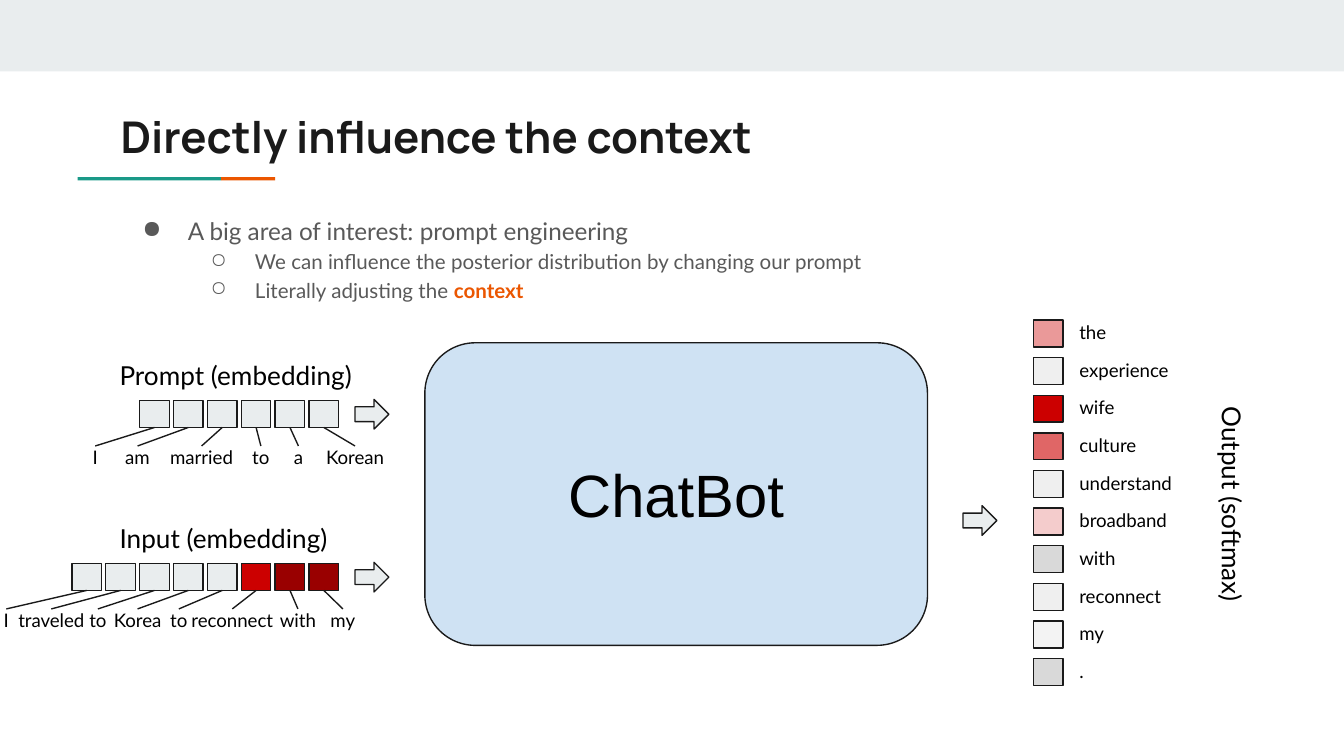
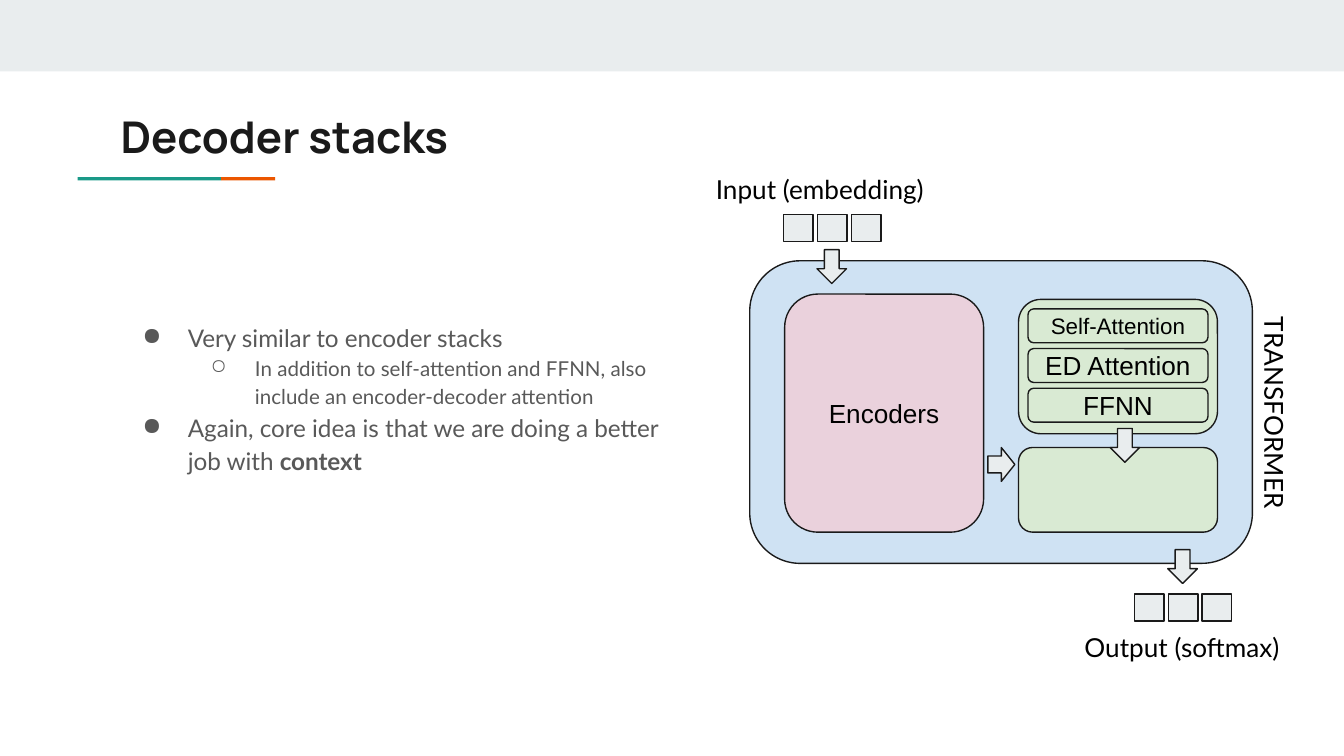
from lxml.etree import SubElement
from pptx import Presentation
from pptx.dml.color import RGBColor
from pptx.enum.shapes import MSO_CONNECTOR, MSO_SHAPE
from pptx.enum.text import MSO_ANCHOR, PP_ALIGN
from pptx.oxml.ns import qn
from pptx.util import Cm, Pt

COLORS = {
    "band": "E9EDEE", "teal": "1A9988", "orange": "EB5600",
    "ink": "1A1A1A", "body": "595959", "black": "000000",
    "model": "CFE2F3", "encoder": "EAD1DC", "decoder": "D9EAD3",
    "plain": "EFEFEF", "pale": "F3F3F3", "gray": "D9D9D9",
    "blush": "F4CCCC", "rose": "EA9999", "coral": "E06666",
    "red": "CC0000", "dark_red": "990000",
}
BODY_FONT, TITLE_FONT, MODEL_FONT = "Lato", "Manrope", "Arial"
INSET = 0.25
CELL_W, CELL_H, CELL_STEP = 0.56, 0.51, 0.64
ARROW_LONG, ARROW_WIDE = 0.64, 0.56
LABEL_H, WORD_H = 1.12, 0.43

# Bullet levels: left margin, hanging indent, sign, text size
LEVELS = [(1.27, -0.86, "●", 13), (2.54, -0.84, "○", 11)]


def rgb(color):
    return RGBColor.from_string(COLORS[color])


def style(font, name, size, color, bold=None):
    font.name, font.size, font.bold = name, Pt(size), bold
    font.color.rgb = rgb(color)


def set_insets(frame, inset):
    frame.margin_left = frame.margin_right = Cm(inset)
    frame.margin_top = frame.margin_bottom = Cm(inset)
    frame.word_wrap = True


def add_block(slide, kind, box, fill, outlined=True, text="", size=14):
    block = slide.shapes.add_shape(kind, *map(Cm, box))
    block.shadow.inherit = False
    block.fill.solid()
    block.fill.fore_color.rgb = rgb(fill)
    if outlined:
        block.line.color.rgb = rgb("ink")
        block.line.width = Pt(0.75)
    else:
        block.line.fill.background()
    if text:
        set_insets(block.text_frame, INSET)
        block.text_frame.vertical_anchor = MSO_ANCHOR.MIDDLE
        paragraph = block.text_frame.paragraphs[0]
        paragraph.text, paragraph.alignment = text, PP_ALIGN.CENTER
        style(paragraph.font, MODEL_FONT, size, "black")
    return block


def add_rounded(slide, box, fill, text="", size=14):
    return add_block(slide, MSO_SHAPE.ROUNDED_RECTANGLE, box, fill, text=text, size=size)


def add_label(slide, box, text, size=14, inset=INSET, align=PP_ALIGN.LEFT, rotation=0):
    label = slide.shapes.add_textbox(*map(Cm, box))
    label.rotation = rotation
    set_insets(label.text_frame, inset)
    paragraph = label.text_frame.paragraphs[0]
    paragraph.text, paragraph.alignment = text, align
    style(paragraph.font, BODY_FONT, size, "black")
    return label


def add_cell(slide, left, top, fill="band"):
    add_block(slide, MSO_SHAPE.RECTANGLE, (left, top, CELL_W, CELL_H), fill)


def add_right_arrow(slide, left, top, width=ARROW_LONG, height=ARROW_WIDE):
    add_block(slide, MSO_SHAPE.RIGHT_ARROW, (left, top, width, height), "band")


def add_down_arrow(slide, left, top):
    add_block(slide, MSO_SHAPE.DOWN_ARROW, (left, top, ARROW_WIDE, ARROW_LONG), "band")


def add_leader(slide, start, end):
    leader = slide.shapes.add_connector(MSO_CONNECTOR.STRAIGHT, *map(Cm, start + end))
    leader.line.color.rgb = rgb("ink")
    leader.line.width = Pt(0.75)
    SubElement(leader._element.spPr, qn("a:effectLst"))


def add_frame(prs, title):
    """Slide with the top band, the two-colour rule and the title."""
    slide = prs.slides.add_slide(prs.slide_layouts[6])
    for box, color in [((0, 0, 25.4, 1.35), "band"),
                       ((1.47, 3.35, 2.71, 0.06), "teal"),
                       ((4.18, 3.35, 1.02, 0.06), "orange")]:
        add_block(slide, MSO_SHAPE.RECTANGLE, box, color, outlined=False)
    heading = add_label(slide, (2.03, 1.83, 21.36, 1.5), title)
    style(heading.text_frame.paragraphs[0].font, TITLE_FONT, 23.4, "ink", True)
    return slide


def add_bullets(slide, box, items):
    """Items are (level, text, emphasized ending, its colour)."""
    frame = slide.shapes.add_textbox(*map(Cm, box)).text_frame
    set_insets(frame, INSET)
    for index, (level, text, emphasis, color) in enumerate(items):
        paragraph = frame.add_paragraph() if index else frame.paragraphs[0]
        margin, indent, sign, size = LEVELS[level]
        paragraph.level, paragraph.line_spacing = level, 1.15
        properties = paragraph._p.get_or_add_pPr()
        properties.set("marL", str(Cm(margin)))
        properties.set("indent", str(Cm(indent)))
        bullet_color = SubElement(properties, qn("a:buClr"))
        SubElement(bullet_color, qn("a:srgbClr"), val=COLORS["body"])
        SubElement(properties, qn("a:buChar"), char=sign)
        style(paragraph.font, BODY_FONT, size, "body")
        paragraph.add_run().text = text
        if emphasis:
            ending = paragraph.add_run()
            ending.text, ending.font.bold = emphasis, True
            ending.font.color.rgb = rgb(color)


def add_embedding(slide, box, title, words):
    """Cells flush right in the box; words are (word, centre, width, cell colour)."""
    left, top, width = box
    cells_top, words_top = top + 1.02, top + 1.88
    add_label(slide, (left + 2.01, top, 5.49, LABEL_H), title)
    for index, (word, center, word_width, fill) in enumerate(words):
        cell_left = left + width - CELL_W - (len(words) - 1 - index) * CELL_STEP
        add_cell(slide, cell_left, cells_top, fill)
        add_label(slide, (left + center - word_width / 2, words_top, word_width, WORD_H),
                  word, 10, 0, PP_ALIGN.CENTER)
        add_leader(slide, (left + center, words_top),
                   (cell_left + CELL_W / 2, cells_top + CELL_H))
    add_right_arrow(slide, left + width + 0.31, cells_top - 0.02)


def add_output_list(slide, box, title, words):
    left, top, height = box
    step = (height - CELL_H) / (len(words) - 1)
    for index, (word, fill) in enumerate(words):
        add_cell(slide, left, top + index * step, fill)
        add_label(slide, (left + 0.87, top + index * step + 0.02, 2.06, WORD_H), word, 10, 0)
    add_label(slide, (left + 1.32, top + 3.25, 4.85, LABEL_H), title, rotation=90)


def add_transformer(slide, box):
    left, top, width, height = box
    add_rounded(slide, box, "model")

    # Encoders and the stack of decoders
    add_rounded(slide, (left + 0.66, top + 0.63, 3.76, 4.5), "encoder", "Encoders")
    decoder_left = left + 5.08
    add_rounded(slide, (decoder_left, top + 0.73, 3.76, 2.54), "decoder")
    add_rounded(slide, (decoder_left, top + 3.53, 3.76, 1.6), "decoder")
    layers = [("Self-Attention", 12), ("ED Attention", 14), ("FFNN", 14)]
    for index, (layer, size) in enumerate(layers):
        add_rounded(slide, (decoder_left + 0.18, top + 0.91 + index * 0.75, 3.4, 0.64),
                    "decoder", layer, size)

    # Flow from input to output
    add_down_arrow(slide, left + 1.27, top - 0.21)
    add_right_arrow(slide, left + 4.5, top + 3.53, 0.51, 0.64)
    add_down_arrow(slide, left + 6.81, top + 3.17)
    add_down_arrow(slide, left + 7.9, top + height - 0.26)
    for row_left, row_top in [(left + 0.64, top - 0.87), (left + 7.27, top + height + 0.58)]:
        for index in range(3):
            add_cell(slide, row_left + index * CELL_STEP, row_top)

    # Labels around the model
    add_label(slide, (left - 0.89, top - 1.91, 4.7, LABEL_H), "Input (embedding)")
    add_label(slide, (left + 5.82, top + height + 1.03, 4.7, LABEL_H), "Output (softmax)",
              align=PP_ALIGN.CENTER)
    add_label(slide, (left + width - 2.13, top + 2.79, 5.08, LABEL_H), "TRANSFORMER",
              rotation=90)


def build_context_slide(prs):
    slide = add_frame(prs, "Directly influence the context")
    add_bullets(slide, (2.03, 3.76, 21.36, 6.27), [
        (0, "A big area of interest: prompt engineering", "", None),
        (1, "We can influence the posterior distribution by changing our prompt", "", None),
        (1, "Literally adjusting the ", "context", "orange"),
    ])
    add_rounded(slide, (8.03, 6.48, 9.5, 5.72), "model", "ChatBot", 32)
    add_embedding(slide, (0, 6.55, 6.4), "Prompt (embedding)", [
        ("I", 1.8, 0.56, "band"), ("am", 2.6, 1.47, "band"),
        ("married", 3.81, 1.57, "band"), ("to", 4.93, 1.12, "band"),
        ("a", 5.64, 1.12, "band"), ("Korean", 6.71, 1.57, "band"),
    ])
    add_embedding(slide, (0, 9.63, 6.4), "Input (embedding)", [
        ("I", 0.12, 0.56, "band"), ("traveled", 0.97, 1.47, "band"),
        ("to", 1.85, 1.12, "band"), ("Korea", 2.6, 1.12, "band"),
        ("to", 3.38, 1.12, "band"), ("reconnect", 4.39, 1.9, "red"),
        ("with", 5.63, 1.19, "dark_red"), ("my", 6.48, 1.19, "dark_red"),
    ])
    add_right_arrow(slide, 18.2, 9.56)
    add_output_list(slide, (19.53, 6.05, 6.91), "Output (softmax)", [
        ("the", "rose"), ("experience", "plain"), ("wife", "red"),
        ("culture", "coral"), ("understand", "plain"), ("broadband", "blush"),
        ("with", "gray"), ("reconnect", "plain"), ("my", "pale"), (".", "gray"),
    ])


def build_decoder_slide(prs):
    slide = add_frame(prs, "Decoder stacks")
    add_bullets(slide, (2.03, 5.77, 10.8, 6.27), [
        (0, "Very similar to encoder stacks", "", None),
        (1, "In addition to self-attention and FFNN, also include an "
            "encoder-decoder attention", "", None),
        (0, "Again, core idea is that we are doing a better job with ", "context", "body"),
    ])
    add_transformer(slide, (14.17, 4.93, 9.5, 5.72))


def main():
    prs = Presentation()
    prs.slide_width, prs.slide_height = Cm(25.4), Cm(14.29)
    build_context_slide(prs)
    build_decoder_slide(prs)
    prs.save("out.pptx")


if __name__ == "__main__":
    main()
